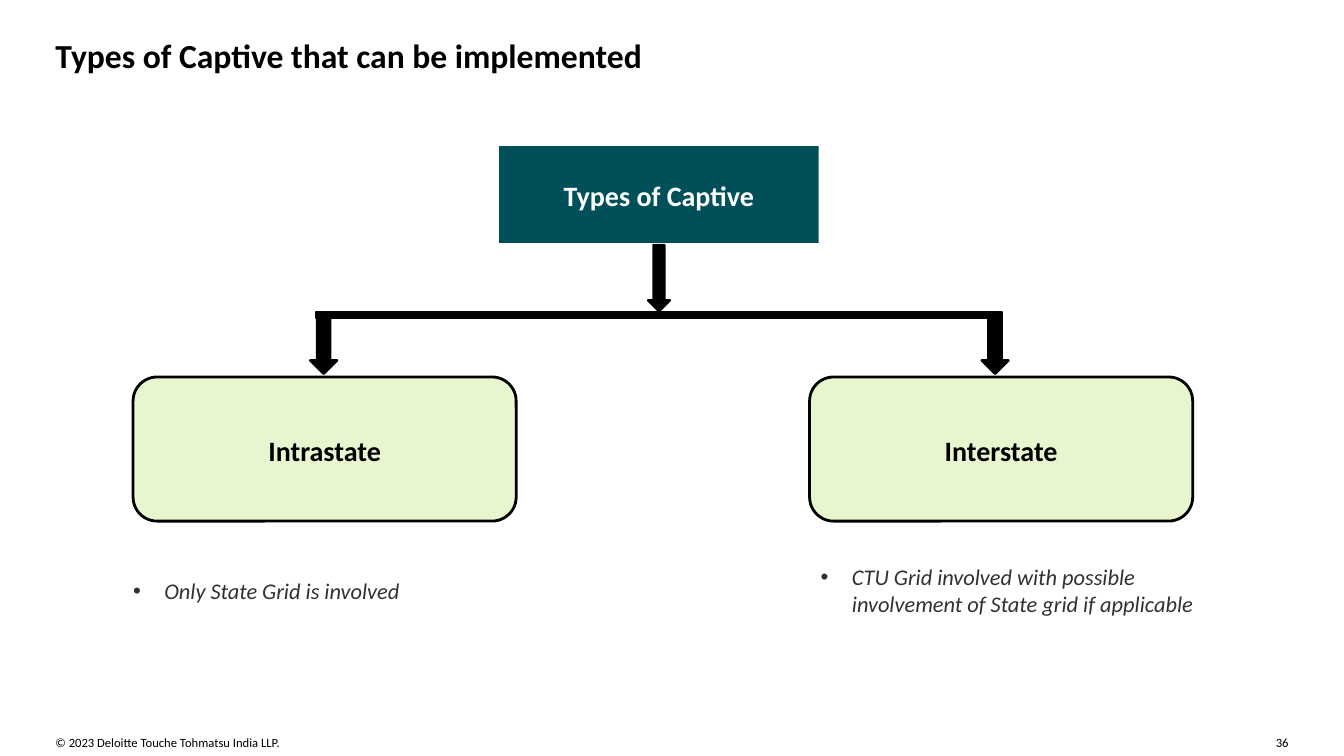
from lxml.etree import SubElement as Sub
from pptx import Presentation
from pptx.dml.color import RGBColor as Rgb
from pptx.enum.shapes import MSO_SHAPE as Kind
from pptx.enum.text import MSO_ANCHOR as Anchor, MSO_AUTO_SIZE as Fit, PP_ALIGN as Align
from pptx.oxml.ns import qn
from pptx.util import Inches, Pt

WIDE, HIGH = 13.33, 7.5
EDGE = 0.55
HUE = {"ink": "000000", "teal": "004F59", "lime": "E8F6CF",
       "gray": "313131", "white": "FFFFFF"}


def put(item, box):
    item.left, item.top, item.width, item.height = map(Inches, box)


def write(item, text, size, hue="ink", bold=False, slant=False, side=Align.LEFT,
          anchor=Anchor.TOP, pad=0, lead=1.0, wrap=True):
    frame = item.text_frame
    frame.auto_size = Fit.NONE
    frame.word_wrap = wrap
    frame.vertical_anchor = anchor
    frame.margin_left = frame.margin_right = Inches(pad)
    frame.margin_top = frame.margin_bottom = Inches(pad)
    para = frame.paragraphs[0]
    para.alignment = side
    para.line_spacing = lead
    para.space_before = Pt(0)
    run = para.add_run()
    run.text = text
    font = run.font
    font.name, font.size, font.bold, font.italic = "Calibri", Pt(size), bold, slant
    font.color.rgb = Rgb.from_string(HUE[hue])
    return para


def draw(slide, kind, box, fill, line=0):
    item = slide.shapes.add_shape(kind, *map(Inches, box))
    item.shadow.inherit = False
    item.fill.solid()
    item.fill.fore_color.rgb = Rgb.from_string(HUE[fill])
    if line:
        item.line.color.rgb = Rgb.from_string(HUE["ink"])
        item.line.width = Pt(line)
    else:
        item.line.fill.background()
    return item


def label(item, text, hue="ink"):
    write(item, text, 20, hue, bold=True, side=Align.CENTER,
          anchor=Anchor.MIDDLE, pad=0.1, lead=1.06)


def header(slide, box):
    title = slide.shapes.title
    put(title, box)
    write(title, "Types of Captive that can be implemented", 24, bold=True)


def tree(slide, box):
    x, y, w, h = box
    leaf, tall = 3.8, 1.43
    root, deep = 3.17, 0.96
    mid = x + w / 2 - 0.04
    low = y + h - tall
    rail = low - 0.64

    # Trunk arrow and rail
    draw(slide, Kind.DOWN_ARROW, (mid - 0.11, y + deep + 0.02, 0.22, 0.66), "ink", 1.5)
    draw(slide, Kind.RECTANGLE, (mid - 3.4, rail, 6.8, 0.06), "ink", 1.5)

    # Branches
    for name, left, tip in (("Intrastate", x, mid - 3.33),
                            ("Interstate", x + w - leaf, mid + 3.33)):
        draw(slide, Kind.DOWN_ARROW, (tip - 0.13, rail + 0.01, 0.27, 0.6), "ink", 1.5)
        label(draw(slide, Kind.ROUNDED_RECTANGLE, (left, low, leaf, tall), "lime", 2), name)

    # Root
    top = draw(slide, Kind.RECTANGLE, (mid - root / 2, y, root, deep), "teal")
    label(top, "Types of Captive", "white")


def note(body, box, text):
    put(body, box)
    para = write(body, text, 16, "gray", slant=True)
    props = para._p.get_or_add_pPr()
    props.set("marL", str(Inches(0.31)))
    props.set("indent", str(-Inches(0.31)))
    Sub(props, qn("a:buFont"), typeface="Arial")
    Sub(props, qn("a:buChar"), char="•")


def footer(slide, box):
    x, y, w, h = box
    for text, left, wide, side in (
            ("© 2023 Deloitte Touche Tohmatsu India LLP.", x, 5.86, Align.LEFT),
            ("36", x + w - 0.15, 0.15, Align.RIGHT)):
        item = slide.shapes.add_textbox(*map(Inches, (left, y, wide, h)))
        write(item, text, 9, side=side, wrap=side == Align.LEFT)


def main():
    deck = Presentation()
    deck.slide_width, deck.slide_height = Inches(WIDE), Inches(HIGH)
    slide = deck.slides.add_slide(deck.slide_layouts[3])
    span = WIDE - 2 * EDGE
    header(slide, (EDGE, 0.35, span, 0.37))
    tree(slide, (1.32, 1.45, 10.51, 3.72))
    hold = slide.placeholders
    note(hold[1], (1.32, 5.73, 3.8, 0.27), "Only State Grid is involved")
    note(hold[2], (8.14, 5.59, 3.8, 0.54),
         "CTU Grid involved with possible involvement of State grid if applicable")
    footer(slide, (EDGE, 7.29, span, 0.15))
    deck.save("out.pptx")


if __name__ == "__main__":
    main()
